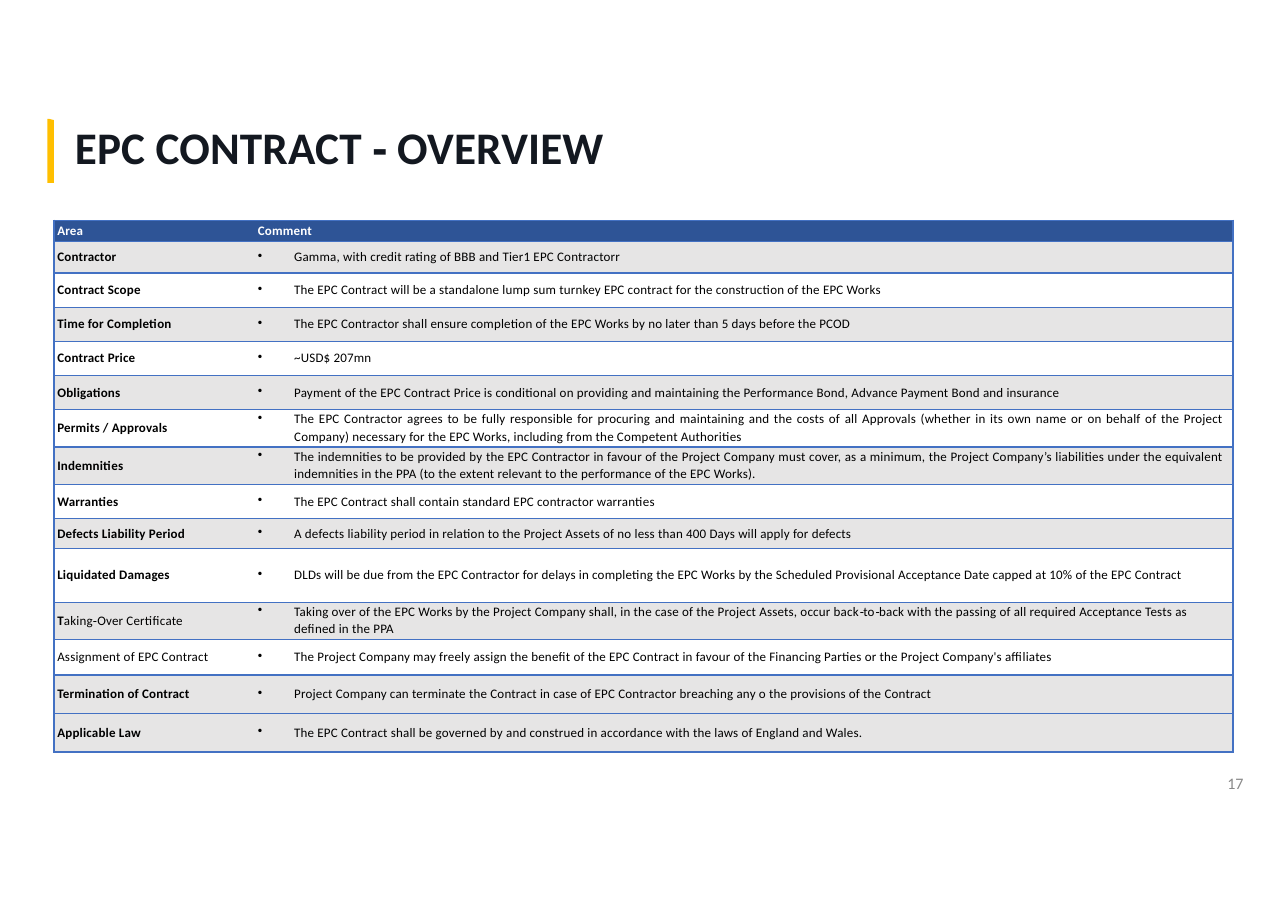
from lxml import etree
from pptx import Presentation
from pptx.dml.color import RGBColor
from pptx.enum.text import MSO_ANCHOR as Anchor, MSO_AUTO_SIZE as AutoSize, PP_ALIGN as Align
from pptx.oxml.ns import qn
from pptx.util import Inches, Pt

FONT = "Calibri"
INK = RGBColor(0x13, 0x18, 0x20)
BLACK = RGBColor(0, 0, 0)
WHITE = RGBColor(0xFF, 0xFF, 0xFF)
AMBER = RGBColor(0xFF, 0xBF, 0x00)
NAVY = RGBColor(0x2E, 0x54, 0x96)
BLUE = RGBColor(0x43, 0x71, 0xC3)
PALE = RGBColor(0xE6, 0xE5, 0xE5)
GREY = RGBColor(0x89, 0x89, 0x89)

COLUMN_WIDTHS = (1.63, 9.07)
HEADER_HEIGHT = 0.19
ONE_LINE_LIMIT = 165  # characters that fit on one line of a comment
HEADINGS = ("Area", "Comment")
# Row height, shading, label runs as (text, bold), comment, comment alignment
TERMS = [
    (0.29, PALE, [("Contractor", True)],
     "Gamma, with credit rating of BBB and Tier1 EPC Contractorr", Align.LEFT),
    (0.31, WHITE, [("Contract Scope", True)],
     "The EPC Contract will be a standalone lump sum turnkey EPC contract for the "
     "construction of the EPC Works", Align.LEFT),
    (0.31, PALE, [("Time for Completion", True)],
     "The EPC Contractor shall ensure completion of the EPC Works by no later than "
     "5 days before the PCOD", Align.LEFT),
    (0.31, WHITE, [("Contract Price", True)], "~USD$ 207mn", Align.LEFT),
    (0.31, PALE, [("Obligations", True)],
     "Payment of the EPC Contract Price is conditional on providing and maintaining the "
     "Performance Bond, Advance Payment Bond and insurance", Align.LEFT),
    (0.34, WHITE, [("Permits / Approvals", True)],
     "The EPC Contractor agrees to be fully responsible for procuring and maintaining and "
     "the costs of all Approvals (whether in its own name or on behalf of the Project "
     "Company) necessary for the EPC Works, including from the Competent Authorities",
     Align.JUSTIFY),
    (0.34, PALE, [("Indemnities", True)],
     "The indemnities to be provided by the EPC Contractor in favour of the Project Company "
     "must cover, as a minimum, the Project Company’s liabilities under the equivalent "
     "indemnities in the PPA (to the extent relevant to the performance of the EPC Works).",
     Align.JUSTIFY),
    (0.31, WHITE, [("Warranties", True)],
     "The EPC Contract shall contain standard EPC contractor warranties", Align.LEFT),
    (0.27, PALE, [("Defects Liability Period", True)],
     "A defects liability period in relation to the Project Assets of no less than 400 Days "
     "will apply for defects", Align.LEFT),
    (0.49, WHITE, [("Liquidated Damages", True)],
     "DLDs will be due from the EPC Contractor for delays in completing the EPC Works by the "
     "Scheduled Provisional Acceptance Date capped at 10% of the EPC Contract", Align.LEFT),
    (0.34, PALE, [("T", True), ("aking‐Over Certificate", False)],
     "Taking over of the EPC Works by the Project Company shall, in the case of the Project "
     "Assets, occur back‐to‐back with the passing of all required Acceptance Tests as "
     "defined in the PPA", Align.LEFT),
    (0.32, WHITE, [("Assignment of EPC Contract", False)],
     "The Project Company may freely assign the benefit of the EPC Contract in favour of the "
     "Financing Parties or the Project Company's affiliates", Align.LEFT),
    (0.35, PALE, [("Termination of Contract", True)],
     "Project Company can terminate the Contract in case of EPC Contractor breaching any o "
     "the provisions of the Contract", Align.LEFT),
    (0.35, PALE, [("Applicable Law", True)],
     "The EPC Contract shall be governed by and construed in accordance with the laws of "
     "England and Wales.", Align.LEFT),
]


def add_span(para, text, size, color, bold=False, spacing=10):
    span = para.add_run()
    span.text = text
    span.font.name, span.font.size, span.font.bold = FONT, Pt(size), bold
    span.font.color.rgb = color
    span._r.get_or_add_rPr().set("spc", str(spacing))


def clear_frame(frame, wrap):
    frame.margin_left = frame.margin_right = frame.margin_top = frame.margin_bottom = 0
    frame.auto_size = AutoSize.NONE
    frame.word_wrap = wrap
    frame.vertical_anchor = Anchor.TOP


def set_indent(para, left, first=0.0):
    props = para._p.get_or_add_pPr()
    props.set("marL", str(Inches(left)))
    props.set("indent", str(Inches(first)))
    return props


def set_borders(cell, open_side):
    """Rule every side of the cell except the one shared with its neighbour."""
    props = cell._tc.get_or_add_tcPr()
    for place, side in enumerate(("lnL", "lnR", "lnT", "lnB")):
        line = etree.Element(qn(f"a:{side}"), w=str(Pt(1)))
        if side == open_side:
            etree.SubElement(line, qn("a:noFill"))
        else:
            fill = etree.SubElement(line, qn("a:solidFill"))
            etree.SubElement(fill, qn("a:srgbClr"), val=str(BLUE))
        props.insert(place, line)


def style_cell(cell, color, open_side, right=0.0):
    cell.margin_left = cell.margin_top = cell.margin_bottom = 0
    cell.margin_right = Inches(right)
    cell.vertical_anchor = Anchor.MIDDLE
    cell.fill.solid()
    cell.fill.fore_color.rgb = color
    set_borders(cell, open_side)
    return cell.text_frame.paragraphs[0]


def add_title(page, left, top, width, height):
    box = page.shapes.title
    box.left, box.top, box.width, box.height = map(Inches, (left, top, width, height))
    clear_frame(box.text_frame, False)
    box.text_frame.margin_top = Inches(0.02)
    para = box.text_frame.paragraphs[0]
    para.alignment = Align.LEFT
    set_indent(para, 0.01)
    add_span(para, "EPC CONTRACT ‐ OVERVIEW", 29.5, INK, True)


def add_accent_bar(page, left, top, width, height):
    right, bottom = left + width, top + height
    corners = [(left, top), (left + 0.02, top), (right, top + 0.01),
               (right, bottom), (left, bottom)]
    start, *others = [(Inches(x), Inches(y)) for x, y in corners]
    outline = page.shapes.build_freeform(*start)
    outline.add_line_segments(others)
    bar = outline.convert_to_shape()
    bar.shadow.inherit = False
    bar.fill.solid()
    bar.fill.fore_color.rgb = AMBER
    bar.line.fill.background()


def add_terms_table(page, left, top):
    heights = [HEADER_HEIGHT] + [term[0] for term in TERMS]
    frame = page.shapes.add_table(
        len(heights), len(COLUMN_WIDTHS), Inches(left), Inches(top),
        Inches(sum(COLUMN_WIDTHS)), Inches(sum(heights)))
    table = frame.table
    table.horz_banding = False
    for column, width in zip(table.columns, COLUMN_WIDTHS):
        column.width = Inches(width)
    for row, height in zip(table.rows, heights):
        row.height = Inches(height)

    # Header row
    for cell, text, indent, side in zip(
            table.rows[0].cells, HEADINGS, (0.03, 0.22), ("lnR", "lnL")):
        para = style_cell(cell, NAVY, side)
        set_indent(para, indent)
        add_span(para, text, 8.5, WHITE, True)

    # Contract terms
    for number, (_, color, label, comment, alignment) in enumerate(TERMS, 1):
        para = style_cell(table.cell(number, 0), color, "lnR")
        set_indent(para, 0.03)
        for text, bold in label:
            add_span(para, text, 8.5, BLACK, bold)

        cell = table.cell(number, 1)
        para = style_cell(cell, color, "lnL", right=0.08)
        etree.SubElement(set_indent(para, 0.55, -0.33), qn("a:buChar"), char="•")
        para.alignment = alignment
        if len(comment) > ONE_LINE_LIMIT:
            para.line_spacing = Pt(11.4)
            cell.vertical_anchor = Anchor.TOP
        add_span(para, comment, 8.5, BLACK)


def add_page_number(page, left, top, width, height):
    box = page.shapes.add_textbox(*map(Inches, (left, top, width, height)))
    clear_frame(box.text_frame, True)
    para = box.text_frame.paragraphs[0]
    set_indent(para, 0.08)
    para.line_spacing = Pt(11)
    add_span(para, "17", 10.5, GREY, spacing=0)


def main():
    deck = Presentation()
    deck.slide_width, deck.slide_height = Inches(11.69), Inches(8.27)
    page = deck.slides.add_slide(deck.slide_layouts[5])
    add_title(page, 0.67, 1.06, 4.85, 0.52)
    add_accent_bar(page, 0.43, 1.08, 0.06, 0.58)
    add_terms_table(page, 0.49, 2)
    add_page_number(page, 11.06, 7.04, 0.27, 0.17)
    deck.save("out.pptx")


if __name__ == "__main__":
    main()
